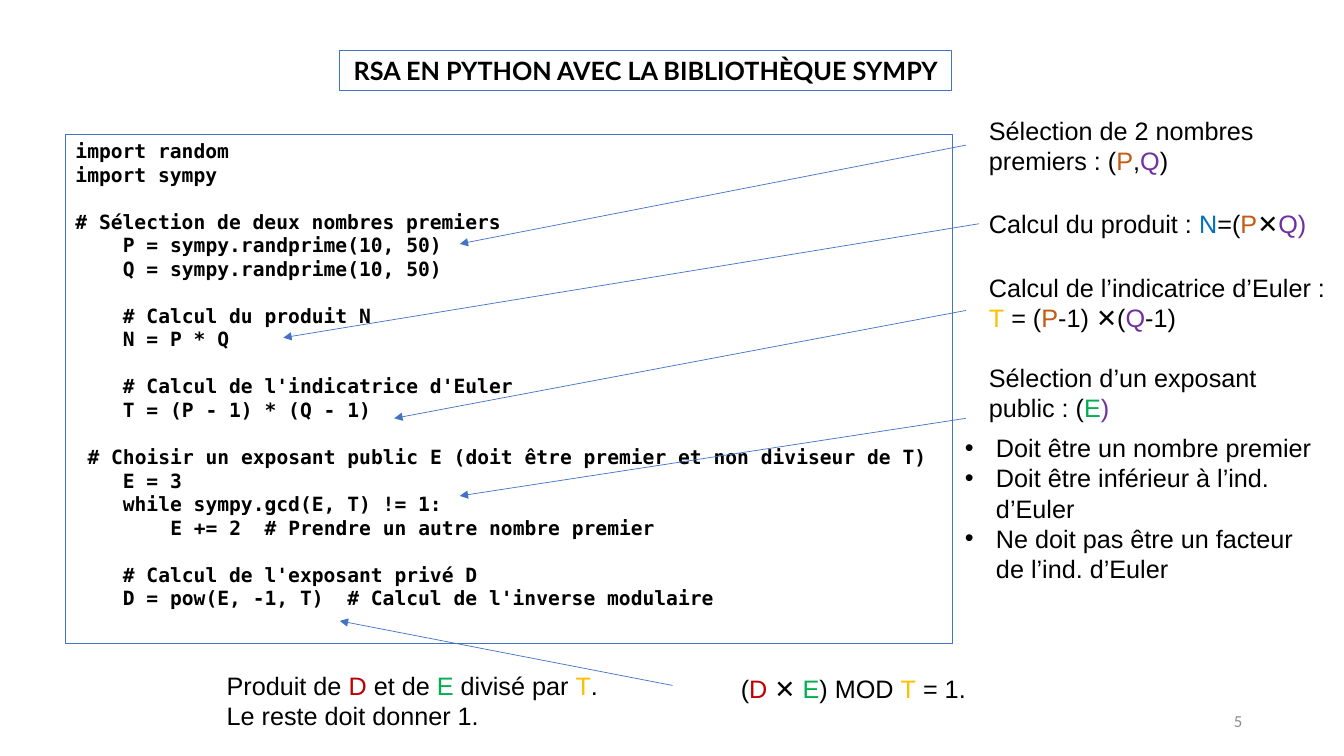
from typing import NamedTuple

from lxml import etree
from pptx import Presentation
from pptx.dml.color import RGBColor
from pptx.enum.shapes import MSO_CONNECTOR, MSO_SHAPE
from pptx.enum.text import MSO_ANCHOR, PP_ALIGN
from pptx.oxml.ns import qn
from pptx.util import Pt

PX = 9144
STRAIGHT = MSO_CONNECTOR.STRAIGHT
RECTANGLE = MSO_SHAPE.RECTANGLE
TOP, MIDDLE = MSO_ANCHOR.TOP, MSO_ANCHOR.MIDDLE
LEFT, CENTER, RIGHT = PP_ALIGN.LEFT, PP_ALIGN.CENTER, PP_ALIGN.RIGHT

BLACK = "000000"
BLUE = "4472C4"
GREY = "8C8C8C"
PURPLE = "7030A0"
GREEN = "00B050"
BLANK_LINE = 16.8
BULLET_INDENT = 31
NOTE_LEFT = 971


class Run(NamedTuple):
    text: str
    color: str = BLACK


P = Run("P", "C55A11")
Q = Run("Q", PURPLE)
N = Run("N", "0070C0")
T = Run("T", "FFC000")
D = Run("D", "C00000")
E = Run("E", GREEN)


class Line(NamedTuple):
    runs: tuple[Run, ...]
    indent: int = 0
    gap: float = 0
    bullet: bool = False


class Style(NamedTuple):
    font: str
    size: int
    bold: bool = False
    align: PP_ALIGN = LEFT
    anchor: MSO_ANCHOR = TOP


class Box(NamedTuple):
    left: int
    top: int
    width: int
    height: int
    lines: tuple[Line, ...]
    style: Style
    border: float = 0


class Arrow(NamedTuple):
    start_x: int
    start_y: int
    end_x: int
    end_y: int


TITLE = Style("Lato", 18, True, CENTER)
CODE = Style("DejaVu Sans Mono", 14, True)
NOTE = Style("Arial", 18)
PAGE_NUMBER = Style("Calibri", 12, align=RIGHT, anchor=MIDDLE)


def line(*runs: Run) -> Line:
    return Line(runs)


def code(text: str, indent: int = 0, gap: float = 0) -> Line:
    return Line((Run(text),), indent, gap)


def bullet(text: str) -> Line:
    return Line((Run(text),), BULLET_INDENT, bullet=True)


CODE_LINES = (
    code("import random"),
    code("import sympy"),
    code("# Sélection de deux nombres premiers", gap=BLANK_LINE),
    code("P = sympy.randprime(10, 50)", 47),
    code("Q = sympy.randprime(10, 50)", 47),
    code("# Calcul du produit N", 47, BLANK_LINE),
    code("N = P * Q", 47),
    code("# Calcul de l'indicatrice d'Euler", 47, BLANK_LINE),
    code("T = (P - 1) * (Q - 1)", 47),
    code("# Choisir un exposant public E (doit être premier et non diviseur de T)", 12, BLANK_LINE),
    code("E = 3", 47),
    code("while sympy.gcd(E, T) != 1:", 47),
    code("E += 2  # Prendre un autre nombre premier", 94),
    code("# Calcul de l'exposant privé D", 47, BLANK_LINE),
    code("D = pow(E, -1, T)  # Calcul de l'inverse modulaire", 47),
)

BOXES = (
    Box(337, 50, 607, 40, (line(Run("RSA EN PYTHON AVEC LA BIBLIOTHÈQUE SYMPY")),), TITLE, 0.75),
    Box(65, 133, 879, 505, CODE_LINES, CODE, 0.25),
    Box(NOTE_LEFT, 109, 341, 71, (
        line(Run("Sélection de 2 nombres premiers : ("), P, Run(","), Q, Run(")")),
    ), NOTE),
    Box(NOTE_LEFT, 202, 341, 40, (
        line(Run("Calcul du produit : "), N, Run("=("), P, Run("✕"), Run("Q)", PURPLE)),
    ), NOTE),
    Box(NOTE_LEFT, 265, 366, 71, (
        line(Run("Calcul de l’indicatrice d’Euler :")),
        line(T, Run(" = ("), P, Run("-1) ✕("), Q, Run("-1)")),
    ), NOTE),
    Box(NOTE_LEFT, 354, 420, 71, (
        line(Run("Sélection d’un exposant")),
        line(Run("public : ("), E, Run(")", PURPLE)),
    ), NOTE),
    Box(947, 424, 369, 162, (
        bullet("Doit être un nombre premier"),
        bullet("Doit être inférieur à l’ind. d’Euler"),
        bullet("Ne doit pas être un facteur de l’ind. d’Euler"),
    ), NOTE),
    Box(215, 660, 393, 71, (
        line(Run("Produit de "), D, Run(" et de "), E, Run(" divisé par "), T, Run(".")),
        line(Run("Le reste doit donner 1.")),
    ), NOTE),
    Box(725, 663, 307, 40, (
        line(Run("("), D, Run(" ✕ "), E, Run(") MOD "), T, Run(" = 1.")),
    ), NOTE),
    Box(942, 695, 300, 40, (line(Run("5", GREY)),), PAGE_NUMBER),
)

ARROWS = (
    Arrow(958, 144, 456, 242),
    Arrow(971, 222, 281, 335),
    Arrow(958, 308, 391, 415),
    Arrow(667, 680, 337, 616),
    Arrow(958, 415, 456, 492),
)


def rgb(color: str) -> RGBColor:
    return RGBColor.from_string(color)


def write_line(paragraph, content: Line, style: Style) -> None:
    paragraph.alignment = style.align
    paragraph.space_before = Pt(content.gap)
    properties = paragraph._p.get_or_add_pPr()
    properties.set("marL", str(content.indent * PX))
    properties.set("indent", str(-content.indent * PX if content.bullet else 0))
    if content.bullet:
        etree.SubElement(properties, qn("a:buFont"), typeface="Arial")
        etree.SubElement(properties, qn("a:buChar"), char="•")
    for part in content.runs:
        run = paragraph.add_run()
        run.text = part.text
        run.font.name = style.font
        run.font.size = Pt(style.size)
        run.font.bold = style.bold
        run.font.color.rgb = rgb(part.color)


def draw_box(slide, box: Box) -> None:
    bounds = [length * PX for length in box[:4]]
    if box.border:
        shape = slide.shapes.add_shape(RECTANGLE, *bounds)
        shape.shadow.inherit = False
        shape.fill.background()
        shape.line.color.rgb = rgb(BLUE)
        shape.line.width = Pt(box.border)
    else:
        shape = slide.shapes.add_textbox(*bounds)
    frame = shape.text_frame
    frame.word_wrap = True
    frame.vertical_anchor = box.style.anchor
    for index, content in enumerate(box.lines):
        paragraph = frame.add_paragraph() if index else frame.paragraphs[0]
        write_line(paragraph, content, box.style)


def draw_arrow(slide, arrow: Arrow) -> None:
    connector = slide.shapes.add_connector(STRAIGHT, *(length * PX for length in arrow))
    connector.line.color.rgb = rgb(BLUE)
    connector.line.width = Pt(0.5)
    etree.SubElement(connector.line._get_or_add_ln(), qn("a:tailEnd"), type="triangle")
    etree.SubElement(connector._element.spPr, qn("a:effectLst"))


def main() -> None:
    presentation = Presentation()
    presentation.slide_width = 1333 * PX
    presentation.slide_height = 750 * PX
    slide = presentation.slides.add_slide(presentation.slide_layouts[6])
    for box in BOXES:
        draw_box(slide, box)
    for arrow in ARROWS:
        draw_arrow(slide, arrow)
    presentation.save("out.pptx")


if __name__ == "__main__":
    main()
